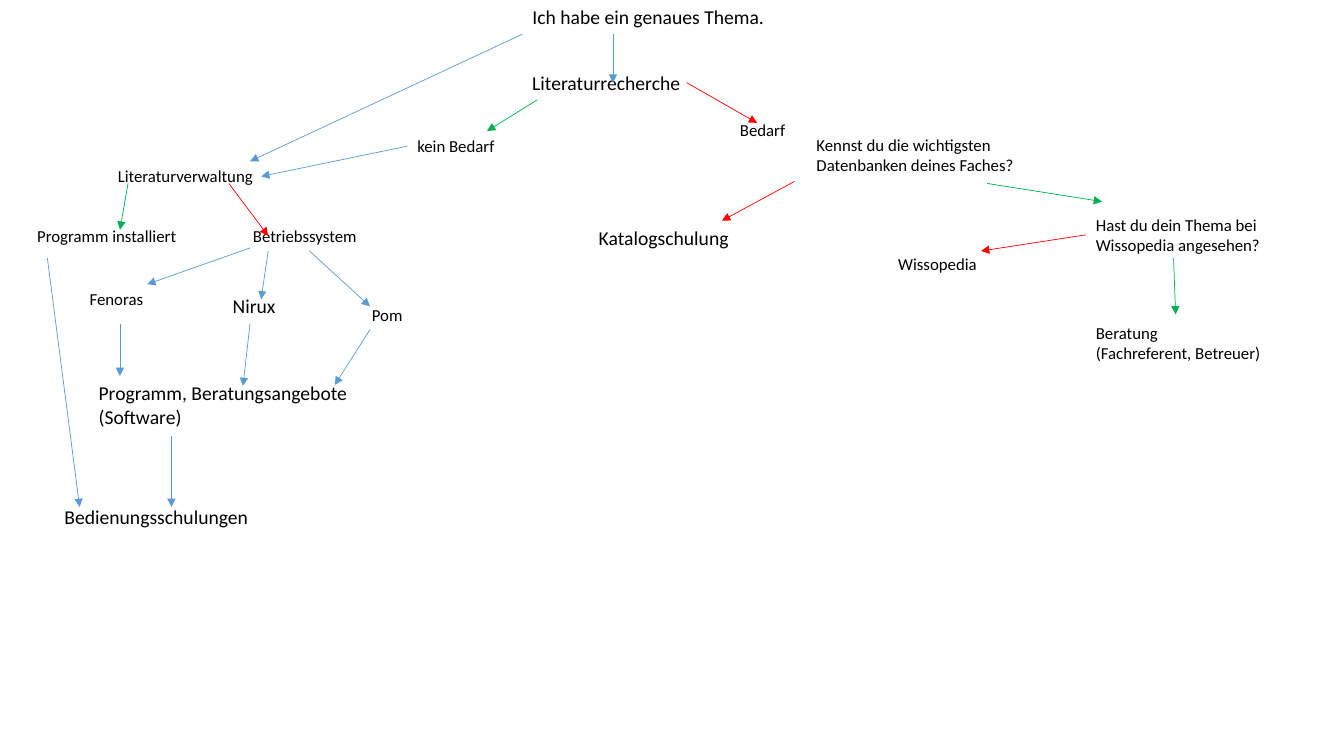
"""Draws a decision tree that guides students to library services."""
from dataclasses import dataclass
from typing import Optional

from lxml import etree
from pptx import Presentation
from pptx import util as u
from pptx.dml import color
from pptx.enum import shapes, text
from pptx.oxml import ns

BLUE, GREEN, RED, BLACK = "5B9BD5", "00B050", "FF0000", "000000"
TOP, LEFT = 0, 1


@dataclass
class Step:
    wording: str
    left: float
    top: float
    width: float
    height: float = 0.3
    size: int = 12


@dataclass
class Arrow:
    start: tuple[float, float]
    end: tuple[float, float]
    colour: str = BLUE
    origin: Optional[tuple[str, int]] = None
    target: Optional[tuple[str, int]] = None


TOPIC = Step("Ich habe ein genaues Thema.", 5.18, 0, 4.11, 0.34, 14)

STEPS = {
    "research": Step("Literaturrecherche", 5.18, 0.65, 2.4, 0.34, 14),
    "no need": Step("kein Bedarf", 4.04, 1.3, 1.29),
    "need": Step("Bedarf", 7.24, 1.14, 1.89),
    "management": Step("Literaturverwaltung", 1.07, 1.6, 2.11),
    "installed": Step("Programm installiert", 0.27, 2.19, 1.61),
    "system": Step("Betriebssystem", 2.41, 2.19, 1.91),
    "first system": Step("Fenoras", 0.79, 2.82, 1.34),
    "second system": Step("Nirux", 2.21, 2.87, 1.86, 0.34, 14),
    "third system": Step("Pom", 3.59, 2.97, 1.46),
    "software": Step("Programm, Beratungsangebote (Software)", 0.88, 3.73, 3.43, 0.57, 14),
    "training": Step("Bedienungsschulungen", 0.54, 4.96, 3.13, 0.34, 14),
    "databases": Step("Kennst du die wichtigsten Datenbanken deines Faches?", 8, 1.29, 2.24, 0.5),
    "catalogue": Step("Katalogschulung", 5.84, 2.19, 2.43, 0.34, 14),
    "lookup": Step("Hast du dein Thema bei Wissopedia angesehen?", 10.77, 2.08, 2.28, 0.5),
    "encyclopedia": Step("Wissopedia", 8.81, 2.47, 1.93),
    "advice": Step("Beratung\n(Fachreferent, Betreuer)", 10.77, 3.15, 1.98, 0.5),
}

ARROWS = [
    Arrow((6.08, 0.34), (6.08, 0.82)),
    Arrow((5.33, 0.99), (4.83, 1.3), GREEN),
    Arrow((6.81, 0.82), (7.51, 1.22), RED),
    Arrow((4.04, 1.45), (2.59, 1.75), origin=("no need", LEFT)),
    Arrow((5.18, 0.34), (2.48, 1.6)),
    Arrow((1.27, 1.82), (1.19, 2.28), GREEN),
    Arrow((2.27, 1.82), (2.66, 2.34), RED),
    Arrow((2.48, 2.46), (1.46, 2.82), target=("first system", TOP)),
    Arrow((2.66, 2.49), (2.59, 2.97)),
    Arrow((3.07, 2.49), (3.67, 3.04)),
    Arrow((1.19, 3.21), (1.19, 3.73)),
    Arrow((2.48, 3.21), (2.41, 3.83)),
    Arrow((3.67, 3.27), (3.32, 3.82)),
    Arrow((0.47, 2.56), (0.79, 5.03)),
    Arrow((1.7, 4.33), (1.7, 5.03)),
    Arrow((7.88, 1.8), (7.16, 2.19), RED),
    Arrow((9.79, 1.82), (10.93, 2), GREEN),
    Arrow((10.77, 2.34), (9.73, 2.49), RED, origin=("lookup", LEFT)),
    Arrow((11.64, 2.56), (11.66, 3.12), GREEN),
]


def rgb(colour: str) -> color.RGBColor:
    return color.RGBColor.from_string(colour)


def write_step(box, step: Step) -> None:
    box.left, box.top = u.Inches(step.left), u.Inches(step.top)
    box.width, box.height = u.Inches(step.width), u.Inches(step.height)
    frame = box.text_frame
    frame.text = step.wording
    frame.word_wrap = True
    frame.auto_size = text.MSO_AUTO_SIZE.SHAPE_TO_FIT_TEXT
    frame.vertical_anchor = text.MSO_ANCHOR.TOP
    for paragraph in frame.paragraphs:
        paragraph.alignment = text.PP_ALIGN.LEFT
        for run in paragraph.runs:
            run.font.name = "Calibri"
            run.font.size = u.Pt(step.size)
            run.font.color.rgb = rgb(BLACK)


def draw_arrow(slide, arrow: Arrow, boxes: dict) -> None:
    ends = [u.Inches(length) for length in (*arrow.start, *arrow.end)]
    connector = slide.shapes.add_connector(shapes.MSO_CONNECTOR.STRAIGHT, *ends)
    if arrow.origin:
        name, side = arrow.origin
        connector.begin_connect(boxes[name], side)
    if arrow.target:
        name, side = arrow.target
        connector.end_connect(boxes[name], side)
    connector.line.color.rgb = rgb(arrow.colour)
    connector.line.width = u.Pt(0.5)
    properties = connector._element.spPr
    etree.SubElement(properties.find(ns.qn("a:ln")), ns.qn("a:tailEnd"), type="triangle")
    etree.SubElement(properties, ns.qn("a:effectLst"))


def main() -> None:
    deck = Presentation()
    deck.slide_width, deck.slide_height = u.Inches(13.33), u.Inches(7.5)
    slide = deck.slides.add_slide(deck.slide_layouts[5])
    write_step(slide.shapes.title, TOPIC)
    boxes = {}
    for name, step in STEPS.items():
        boxes[name] = slide.shapes.add_textbox(0, 0, 0, 0)
        write_step(boxes[name], step)
    for arrow in ARROWS:
        draw_arrow(slide, arrow, boxes)
    deck.save("out.pptx")


if __name__ == "__main__":
    main()
